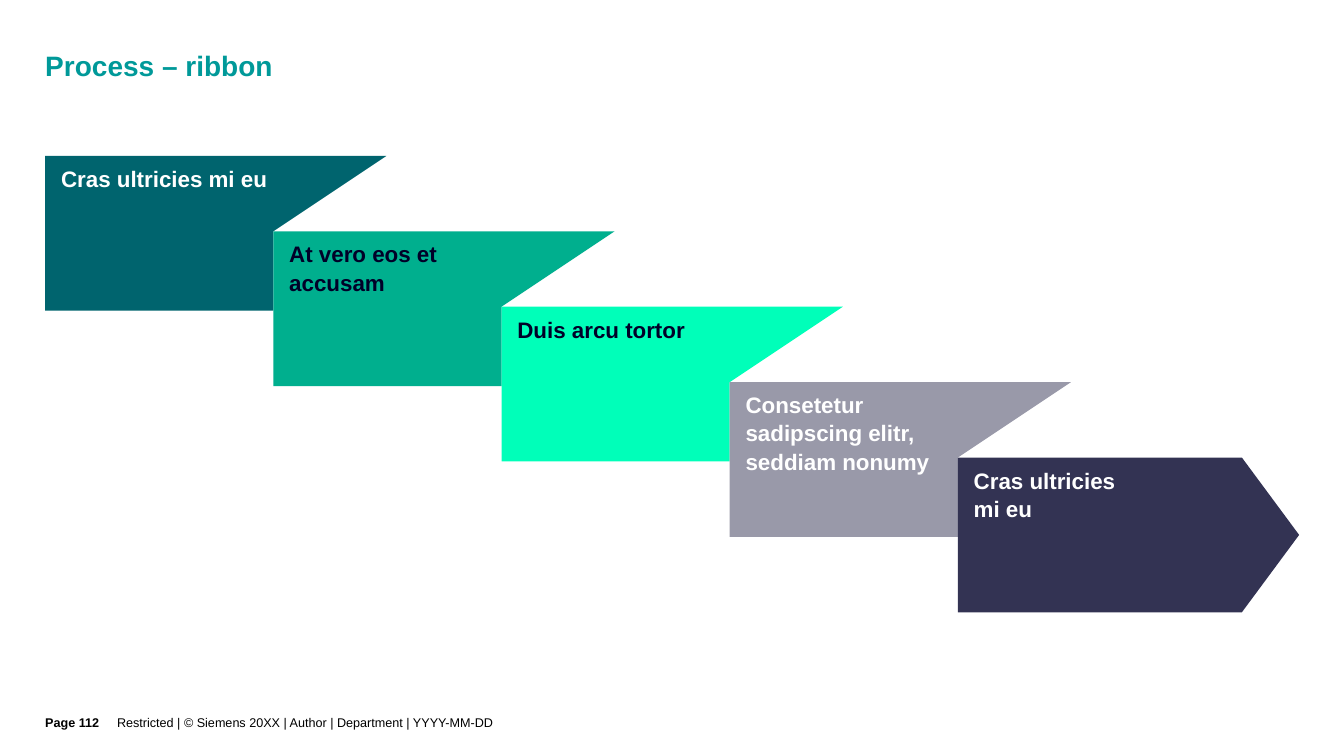
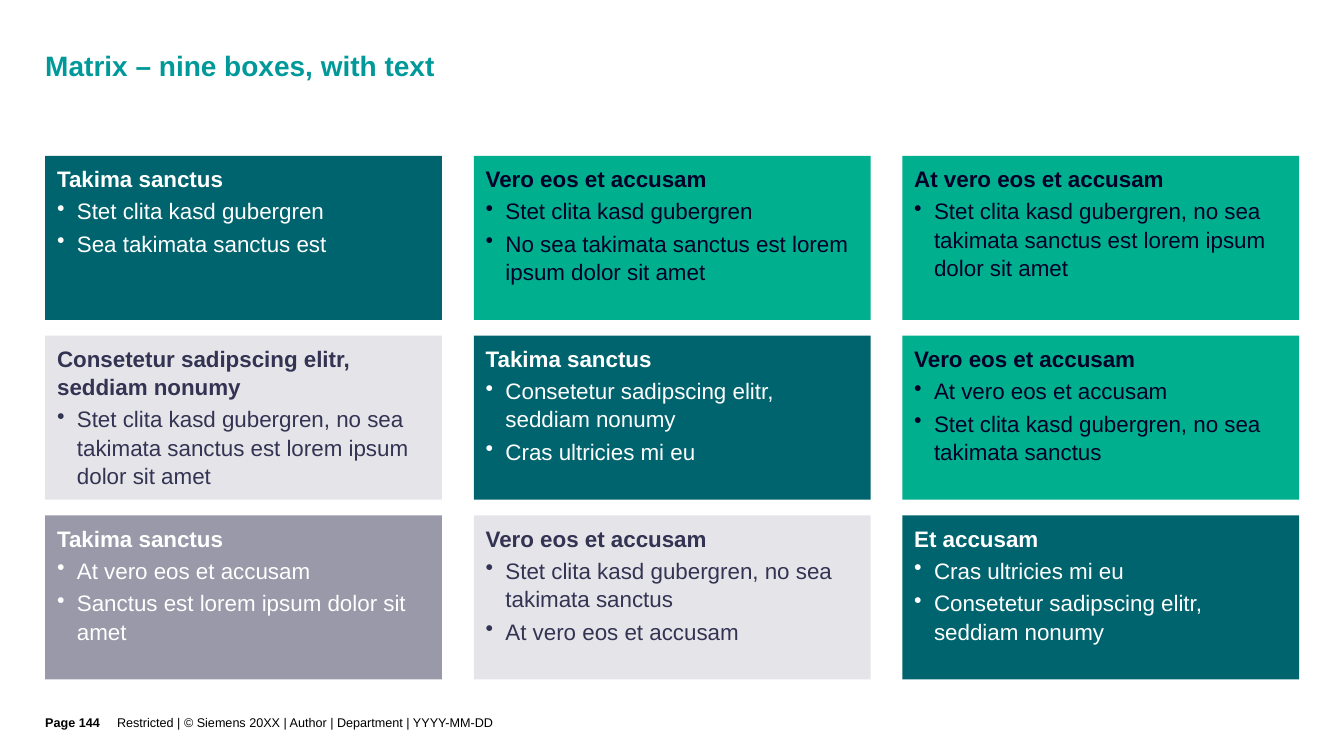
from lxml.etree import SubElement
from pptx import Presentation
from pptx.dml.color import RGBColor
from pptx.enum.shapes import MSO_SHAPE as Preset
from pptx.enum.text import MSO_ANCHOR as Anchor, MSO_AUTO_SIZE as AutoSize, PP_ALIGN as Align
from pptx.oxml.ns import qn
from pptx.util import Cm, Pt

WHITE = RGBColor(0xFF, 0xFF, 0xFF)
BLACK = RGBColor(0, 0, 0)
TITLE_TEAL = RGBColor(0x00, 0x99, 0x99)
PETROL = RGBColor(0x00, 0x64, 0x6E)
GREEN = RGBColor(0x00, 0xAF, 0x8E)
MINT = RGBColor(0x00, 0xFF, 0xB9)
GREY = RGBColor(0x99, 0x99, 0xA9)
PALE = RGBColor(0xE5, 0xE5, 0xE9)
NAVY = RGBColor(0x33, 0x33, 0x53)
INK = RGBColor(0x00, 0x00, 0x28)

TEXT_ON = {PETROL: WHITE, GREEN: INK, MINT: INK, GREY: WHITE, PALE: NAVY, NAVY: WHITE}

FOOTER = "Restricted | © Siemens 20XX | Author | Department | YYYY-MM-DD"
LEFT, TOP = 1.14, 3.93

RIBBON = [
    ("Cras ultricies mi eu", PETROL),
    ("At vero eos et accusam", GREEN),
    ("Duis arcu tortor", MINT),
    ("Consetetur sadipscing elitr, seddiam nonumy", GREY),
    ("Cras ultricies\vmi eu", NAVY),
]

MATRIX = [
    [(PETROL, "Takima sanctus", "Stet clita kasd gubergren", "Sea takimata sanctus est"),
     (GREEN, "Vero eos et accusam", "Stet clita kasd gubergren",
      "No sea takimata sanctus est lorem ipsum dolor sit amet"),
     (GREEN, "At vero eos et accusam",
      "Stet clita kasd gubergren, no sea takimata sanctus est lorem ipsum dolor sit amet")],
    [(PALE, "Consetetur sadipscing elitr, seddiam nonumy",
      "Stet clita kasd gubergren, no sea takimata sanctus est lorem ipsum dolor sit amet"),
     (PETROL, "Takima sanctus", "Consetetur sadipscing elitr, seddiam nonumy",
      "Cras ultricies mi eu"),
     (GREEN, "Vero eos et accusam", "At vero eos et accusam",
      "Stet clita kasd gubergren, no sea takimata sanctus")],
    [(GREY, "Takima sanctus", "At vero eos et accusam",
      "Sanctus est lorem ipsum dolor sit amet"),
     (PALE, "Vero eos et accusam", "Stet clita kasd gubergren, no sea takimata sanctus",
      "At vero eos et accusam"),
     (PETROL, "Et accusam", "Cras ultricies mi eu",
      "Consetetur sadipscing elitr, seddiam nonumy")],
]


class Slides:
    """Holds the deck, its style and the slide being filled; lengths are in cm."""

    font = "Arial"
    body_size = 16
    body_spacing = 1.05

    def __init__(self):
        self.deck = Presentation()
        self.deck.slide_width, self.deck.slide_height = Cm(33.87), Cm(19.05)
        self.slide = None

    def new_slide(self, title, page_number):
        self.slide = self.deck.slides.add_slide(self.deck.slide_layouts[5])
        box = self.slide.shapes.title
        self.place(box, LEFT, 1.32, 27.4, 1.6)
        self.set_lines(box, [title], (0, 0, 0.9, 0.05), 20, TITLE_TEAL, spacing=0.9)
        self.footer(LEFT, 1.81, f"Page {page_number}", bold=True)
        self.footer(2.95, 25.6, FOOTER, bold=False)

    @staticmethod
    def place(box, left, top, width, height):
        box.left, box.top, box.width, box.height = map(Cm, (left, top, width, height))

    def footer(self, left, width, text, bold):
        box = self.slide.shapes.add_textbox(Cm(left), Cm(17.53), Cm(width), Cm(1.52))
        self.set_lines(box, [text], (0, 0, 0, 0.18), 9, BLACK, bold=bold, anchor=Anchor.MIDDLE)

    def set_lines(self, box, lines, insets, size, color, bold=True, spacing=1.0,
                  anchor=Anchor.TOP):
        """Set a first line and, below it, the other lines as regular bullets."""
        frame = box.text_frame
        frame.word_wrap, frame.auto_size = True, AutoSize.NONE
        frame.vertical_anchor = anchor
        (frame.margin_left, frame.margin_top,
         frame.margin_right, frame.margin_bottom) = map(Cm, insets)
        frame.text = lines[0]
        for line in lines[1:]:
            para = frame.add_paragraph()
            para.text = line
            self.bullet(para)
        for index, para in enumerate(frame.paragraphs):
            para.alignment = Align.LEFT
            para.line_spacing = spacing
            for span in para.runs:
                span.font.name, span.font.size = self.font, Pt(size)
                span.font.bold = bold and index == 0
                span.font.color.rgb = color

    @staticmethod
    def bullet(para):
        properties = para._p.get_or_add_pPr()
        properties.set("marL", str(Cm(0.5)))
        properties.set("indent", str(-Cm(0.5)))
        SubElement(properties, qn("a:buChar")).set("char", "•")
        para.space_before = Pt(3)

    def panel(self, shape, fill, lines, insets):
        """Give a shape a flat fill and the body text."""
        shape.shadow.inherit = False
        shape.fill.solid()
        shape.fill.fore_color.rgb = fill
        shape.line.fill.background()
        self.set_lines(shape, lines, insets, self.body_size, TEXT_ON[fill],
                       spacing=self.body_spacing)

    def preset(self, kind, left, top, width, height):
        return self.slide.shapes.add_shape(kind, Cm(left), Cm(top), Cm(width), Cm(height))

    def outline(self, points):
        start, *others = [(Cm(x), Cm(y)) for x, y in points]
        builder = self.slide.shapes.build_freeform(*start)
        builder.add_line_segments(others, close=True)
        return builder.convert_to_shape()

    def ribbon(self, steps):
        """Staggered folds, each ending where the next begins, and a closing arrow."""
        width, height, step_x, step_y = 8.6, 3.9, 5.75, 1.9
        last = len(steps) - 1
        for index, (text, fill) in enumerate(steps):
            left, top = LEFT + index * step_x, TOP + index * step_y
            if index == last:
                shape = self.preset(Preset.PENTAGON, left, top, width, height)
                shape.adjustments[0] = 0.37
            else:
                fold, bottom = left + step_x, top + height
                shape = self.outline([(left, top), (left + width, top), (fold, top + step_y),
                                      (fold, bottom), (left, bottom)])
            right_inset = 0.8 if index == last else 2.2
            self.panel(shape, fill, [text], (0.4, 0.2, right_inset, 0.2))

    def matrix(self, rows):
        width, height, pitch_x, pitch_y = 10, 4.13, 10.8, 4.53
        for row, cells in enumerate(rows):
            for column, (fill, *lines) in enumerate(cells):
                box = self.preset(Preset.RECTANGLE, LEFT + column * pitch_x,
                                  TOP + row * pitch_y, width, height)
                self.panel(box, fill, lines, (0.3, 0.2, 0.3, 0.2))


def main():
    slides = Slides()
    slides.new_slide("Process – ribbon", 112)
    slides.ribbon(RIBBON)
    slides.new_slide("Matrix – nine boxes, with text", 144)
    slides.matrix(MATRIX)
    slides.deck.save("out.pptx")


if __name__ == "__main__":
    main()
